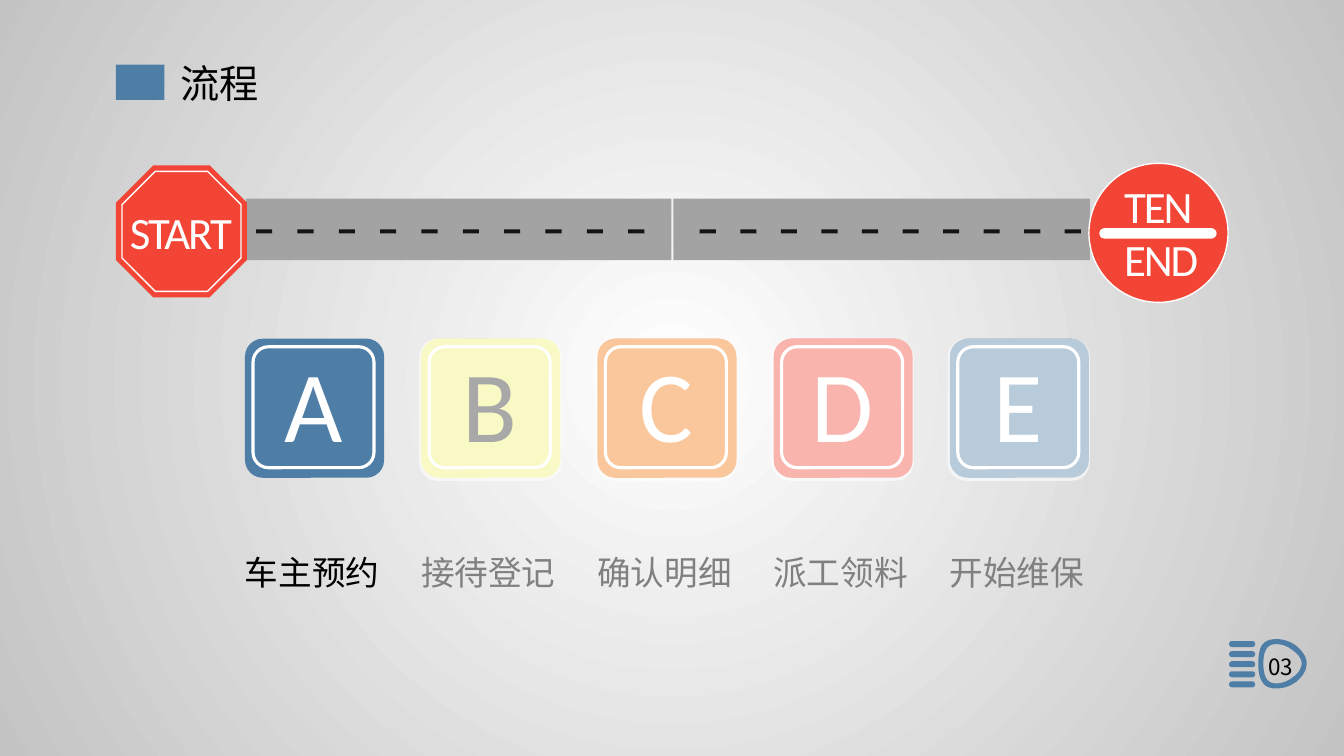
import collections
import dataclasses
import lxml.etree
import pptx
import pptx.dml.color
import pptx.enum.shapes
import pptx.enum.text
import pptx.oxml.ns
import pptx.util

Inches = pptx.util.Inches
Pt = pptx.util.Pt
qn = pptx.oxml.ns.qn
Preset = pptx.enum.shapes.MSO_SHAPE
Align = pptx.enum.text.PP_ALIGN
Box = collections.namedtuple("Box", "left top width height")


@dataclasses.dataclass(frozen=True)
class Theme:
    blue: str = "4E7DA6"
    yellow: str = "EEF26D"
    orange: str = "F27405"
    red: str = "F24535"
    white: str = "FFFFFF"
    black: str = "000000"
    ink: str = "262626"
    muted: str = "808080"
    asphalt: str = "A3A3A3"
    dash: str = "141414"
    edge: str = "C4C4C4"
    latin: str = "Calibri"
    chinese: str = "Noto Sans CJK SC"
    letter_size: int = 72
    sign_size: int = 32
    title_size: int = 28
    label_size: int = 24
    page_size: int = 16


THEME = Theme()
STEPS = [
    ("A", "车主预约", THEME.blue, THEME.white),
    ("B", "接待登记", THEME.yellow, THEME.ink),
    ("C", "确认明细", THEME.orange, THEME.white),
    ("D", "派工领料", THEME.red, THEME.white),
    ("E", "开始维保", THEME.blue, THEME.white),
]
LAMP_RIM = [
    (.38, .07), (.32, .02), (.24, 0), (.18, 0), (.11, 0), (.06, .02), (.03, .07),
    (.01, .11), (0, .17), (0, .24), (0, .32), (.01, .37), (.03, .41),
    (.06, .47), (.11, .49), (.18, .49), (.24, .49), (.32, .47), (.38, .42),
    (.44, .37), (.48, .31), (.48, .24), (.48, .18), (.44, .12), (.38, .07),
]
LAMP_GLASS = [
    (.34, .38), (.29, .42), (.23, .44), (.18, .44), (.12, .44), (.05, .42), (.05, .24),
    (.05, .07), (.12, .05), (.18, .05), (.23, .05), (.29, .07), (.34, .11),
    (.40, .15), (.43, .20), (.43, .24), (.43, .29), (.40, .34), (.34, .38),
]


def rgb(color):
    return pptx.dml.color.RGBColor.from_string(color)


def paint(shape, fill, line=None, line_width=1):
    shape.shadow.inherit = False
    shape.fill.solid()
    shape.fill.fore_color.rgb = rgb(fill)
    if line:
        shape.line.color.rgb = rgb(line)
        shape.line.width = Pt(line_width)
    else:
        shape.line.fill.background()
    return shape


def add_preset(slide, preset, box, fill, line=None, line_width=1, corner=None):
    shape = slide.shapes.add_shape(preset, *map(Inches, box))
    if corner is not None:
        shape.adjustments[0] = corner
    return paint(shape, fill, line, line_width)


def add_outline(slide, contours, fill):
    (first, *rest) = [[(Inches(x), Inches(y)) for x, y in points] for points in contours]
    builder = slide.shapes.build_freeform(*first[0])
    builder.add_line_segments(first[1:])
    for points in rest:
        builder.move_to(*points[0])
        builder.add_line_segments(points[1:])
    return paint(builder.convert_to_shape(), fill)


def format_text(frame, size, font, color, align=Align.LEFT, spacing=None, tracking=None):
    for paragraph in frame.paragraphs:
        paragraph.alignment = align
        if spacing:
            paragraph.line_spacing = spacing
        for run in paragraph.runs:
            run.font.size = Pt(size)
            run.font.color.rgb = rgb(color)
            run.font.name = font
            properties = run.font._element
            lxml.etree.SubElement(properties, qn("a:ea")).set("typeface", font)
            if tracking:
                properties.set("spc", str(round(tracking * 100)))


def add_text(slide, box, text, size, font, color, wrap=True, **style):
    frame = slide.shapes.add_textbox(*map(Inches, box)).text_frame
    frame.text = text
    frame.word_wrap = wrap
    frame.auto_size = pptx.enum.text.MSO_AUTO_SIZE.SHAPE_TO_FIT_TEXT
    format_text(frame, size, font, color, **style)


def curve_points(anchors, left, top, steps=8):
    points = [anchors[0]]
    for i in range(0, len(anchors) - 1, 3):
        for step in range(1, steps + 1):
            t = step / steps
            weights = ((1 - t) ** 3, 3 * t * (1 - t) ** 2, 3 * t * t * (1 - t), t ** 3)
            points.append(tuple(sum(w * p[axis] for w, p in zip(weights, anchors[i:i + 4]))
                                for axis in (0, 1)))
    return [(left + x, top + y) for x, y in points]


def draw_background(slide):
    fill = slide.background.fill
    fill.gradient()
    for stop, color in zip(fill.gradient_stops, (THEME.white, THEME.edge)):
        stop.color.rgb = rgb(color)
    linear = next(slide._element.iter(qn("a:lin")))
    radial = lxml.etree.Element(qn("a:path"))
    radial.set("path", "circle")
    center = lxml.etree.SubElement(radial, qn("a:fillToRect"))
    for side in "ltrb":
        center.set(side, "50000")
    linear.getparent().replace(linear, radial)


def draw_heading(slide, box):
    add_preset(slide, Preset.RECTANGLE, Box(box.left, box.top + .1, .48, .35), THEME.blue)
    title = slide.shapes.title
    title.left, title.top, title.width, title.height = map(
        Inches, (box.left + .54, box.top, box.width - .54, box.height))
    frame = title.text_frame
    frame.text = "流程"
    frame.vertical_anchor = pptx.enum.text.MSO_ANCHOR.TOP
    frame.auto_size = pptx.enum.text.MSO_AUTO_SIZE.NONE
    format_text(frame, THEME.title_size, THEME.chinese, THEME.black)


def draw_road(slide, box, inset_left, inset_right, count=10, dash=.16):
    add_preset(slide, Preset.RECTANGLE, box, THEME.asphalt)
    start = box.left + inset_left
    pitch = (box.width - inset_left - inset_right - dash) / (count - 1)
    top = box.top + box.height / 2
    bottom = top + .04
    lefts = [start + i * pitch for i in range(count)]
    add_outline(slide, [[(x, top), (x + dash, top), (x + dash, bottom), (x, bottom), (x, top)]
                        for x in lefts], THEME.dash)


def draw_start_sign(slide, box):
    add_preset(slide, Preset.OCTAGON, box, THEME.red, corner=.285)
    rim = Box(box.left + .06, box.top + .06, box.width - .12, box.height - .12)
    add_preset(slide, Preset.OCTAGON, rim, THEME.red, THEME.white, corner=.28)
    add_text(slide, Box(box.left + .04, box.top + .34, 1.21, .64), "START",
             THEME.sign_size, THEME.latin, THEME.white, tracking=-1.5)


def draw_end_sign(slide, box):
    add_preset(slide, Preset.OVAL, box, THEME.red, THEME.white)
    add_text(slide, Box(box.left + .25, box.top + .1, 1.01, 1.18), "TEN\nEND",
             THEME.sign_size, THEME.latin, THEME.white, tracking=-1.5)
    bar = Box(box.left + .11, box.top + .65, 1.15, .09)
    add_preset(slide, Preset.ROUNDED_RECTANGLE, bar, THEME.white, THEME.white, corner=.5)


def draw_step(slide, box, letter, label, color, letter_color, active):
    rounded, corner = Preset.ROUNDED_RECTANGLE, .127
    add_preset(slide, rounded, box, color, corner=corner)
    add_preset(slide, rounded, Box(box.left + .08, box.top + .08, 1.2, 1.2),
               color, THEME.white, 2.25, corner)
    add_text(slide, Box(box.left + .28, box.top - .02, .8, 1.31), letter, THEME.letter_size,
             THEME.latin, letter_color, wrap=False, align=Align.CENTER)
    if not active:
        veil = add_preset(slide, rounded, Box(box.left - .02, box.top, 1.41, 1.41),
                          THEME.white, corner=corner)
        tint = veil.fill._xPr.find(qn("a:solidFill"))[0]
        lxml.etree.SubElement(tint, qn("a:alpha")).set("val", "60000")
    add_text(slide, Box(box.left - .1, box.top + 1.95, 1.6, .62), label, THEME.label_size,
             THEME.chinese, THEME.black if active else THEME.muted, spacing=1.3)


def draw_steps(slide, box, tile=1.38):
    pitch = (box.width - tile) / (len(STEPS) - 1)
    for i, step in enumerate(STEPS):
        draw_step(slide, Box(box.left + i * pitch, box.top, tile, tile), *step, active=i == 0)


def draw_page_lamp(slide, box):
    lens = box.left + .29
    add_outline(slide, [curve_points(LAMP_RIM, lens, box.top),
                        curve_points(LAMP_GLASS, lens, box.top)], THEME.blue)
    for i in range(5):
        beam = Box(box.left, box.top + .02 + i * .1, .26, .06)
        add_preset(slide, Preset.ROUNDED_RECTANGLE, beam, THEME.blue, corner=.5)
    add_text(slide, Box(lens, box.top + .09, .61, .37), "03",
             THEME.page_size, THEME.chinese, THEME.black)


def main():
    deck = pptx.Presentation()
    deck.slide_width, deck.slide_height = Inches(13.33), Inches(7.5)
    slide = deck.slides.add_slide(deck.slide_layouts[5])
    draw_background(slide)
    draw_heading(slide, Box(1.15, .54, 4.8, .6))
    draw_road(slide, Box(2.44, 1.97, 4.22, .61), .1, .27)
    draw_road(slide, Box(6.68, 1.97, 4.13, .61), .26, .09)
    draw_start_sign(slide, Box(1.15, 1.64, 1.3, 1.31))
    draw_end_sign(slide, Box(10.8, 1.62, 1.38, 1.38))
    draw_steps(slide, Box(2.43, 3.36, 8.37, 1.38))
    draw_page_lamp(slide, Box(12.19, 6.34, .77, .49))
    deck.save("out.pptx")


if __name__ == "__main__":
    main()
